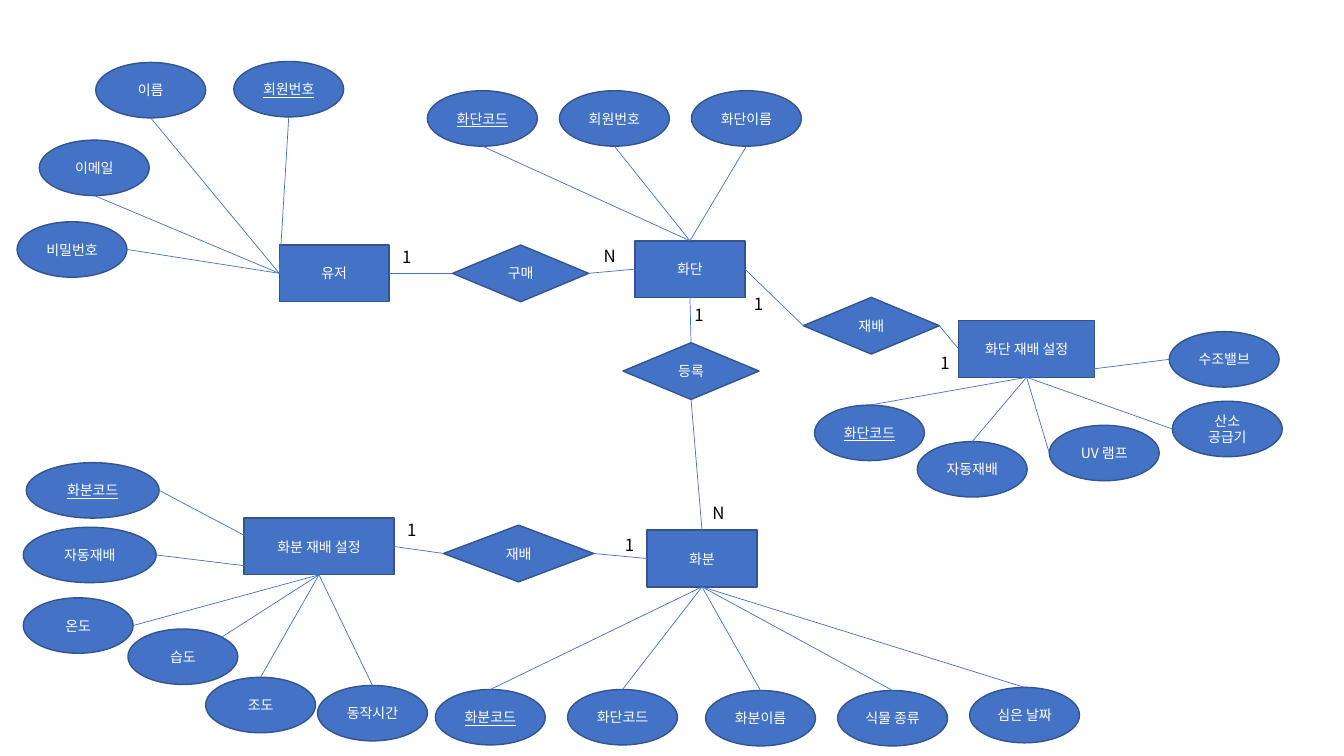
from lxml import etree
from pptx import Presentation
from pptx.dml.color import RGBColor
from pptx.enum.shapes import MSO_CONNECTOR as CONN, MSO_SHAPE as SHAPE
from pptx.enum.text import MSO_ANCHOR as ANCHOR, MSO_AUTO_SIZE as FIT, PP_ALIGN as ALIGN
from pptx.oxml.ns import qn
from pptx.util import Pt

BLUE = RGBColor(0x44, 0x72, 0xC4)
NAVY = RGBColor(0x32, 0x54, 0x91)
WHITE = RGBColor(0xFF, 0xFF, 0xFF)
BLACK = RGBColor(0, 0, 0)
FONT = "Noto Sans CJK KR"

# Entity: left, top, width, side its attributes join
# Attribute: text, left, top, side joined, then optional width and key mark
W, WIDE, OVAL_W = 78.5, 107.3, 95
KEY = True
ENTITIES = {
    "유저": ((199.5, 175, W, "left"), [
        ("회원번호", 167, 43.9, "bottom", W, KEY),
        ("이름", 68.4, 44.6, "bottom"),
        ("이메일", 28.1, 100.1, "bottom"),
        ("비밀번호", 12.2, 158.4, "right"),
    ]),
    "화단": ((453.6, 172, W, "top"), [
        ("화단코드", 305.3, 64.8, "bottom", W, KEY),
        ("회원번호", 399.6, 64.8, "bottom"),
        ("화단이름", 493.9, 64.8, "bottom"),
    ]),
    "화분": ((462.2, 378.7, W, "bottom"), [
        ("화분코드", 311, 492.5, "top", W, KEY),
        ("화단코드", 405.4, 492.5, "top"),
        ("화분이름", 504, 493.2, "top"),
        ("식물 종류", 598.3, 493.2, "top"),
        ("심은 날짜", 692.6, 491, "top"),
    ]),
    "화분 재배 설정": ((174.2, 370.1, WIDE, "bottom"), [
        ("화분코드", 18.7, 330.5, "right", OVAL_W, KEY),
        ("자동재배", 16.6, 376.6, "right", OVAL_W),
        ("온도", 16.6, 427, "right"),
        ("습도", 91.4, 449.3, "upper right"),
        ("조도", 146.9, 483.8, "top"),
        ("동작시간", 226.8, 489.6, "top"),
    ]),
    "화단 재배 설정": ((684.7, 229, 97.2, "bottom"), [
        ("화단코드", 581.8, 289.4, "top", W, KEY),
        ("자동재배", 655.2, 315.4, "top"),
        ("UV 램프", 749.5, 303.8, "left"),
        ("산소 공급기", 837.4, 286.6, "left"),
        ("수조밸브", 835.2, 236.9, "left"),
    ]),
}

# Relationship: text, left, top, width, then two ends (entity, its side, diamond side)
RELATIONS = [
    ("구매", 323.3, 175, 97.2, ("유저", "right", "left"), ("화단", "left", "right")),
    ("등록", 445, 244.8, 97.2, ("화단", "bottom", "top"), ("화분", "top", "bottom")),
    ("재배", 316.8, 375.1, WIDE,
     ("화분 재배 설정", "right", "left"), ("화분", "left", "right")),
    ("재배", 573.8, 212.4, 97.2,
     ("화단", "right", "left"), ("화단 재배 설정", "left", "right")),
]

# Cardinality: text, left, top
CARDINALITIES = [
    ("1", 280.1, 172.8), ("N", 424.1, 172.1), ("1", 488.9, 213.8), ("N", 501.8, 355.7),
    ("1", 283.7, 367.9), ("1", 439.2, 378.7), ("1", 531.4, 206.6), ("1", 664.6, 248.4),
]

# Connection points as fractions of width and height
SIDES = {"left": (0, 0.5), "right": (1, 0.5), "top": (0.5, 0), "bottom": (0.5, 1),
         "upper right": (0.85, 0.15)}


def write(tf, text, size=10, color=WHITE, align=ALIGN.CENTER, underline=None):
    p = tf.paragraphs[0]
    p.alignment = align
    r = p.add_run()
    r.text = text
    r.font.size = Pt(size)
    r.font.color.rgb = color
    r.font.underline = underline
    r.font.name = FONT
    etree.SubElement(r.font._element, qn("a:ea")).set("typeface", FONT)


class Diagram:
    def __init__(self, s):
        self.s = s

    def node(self, kind, text, x, y, w, h, underline=None):
        sp = self.s.shapes.add_shape(kind, Pt(x), Pt(y), Pt(w), Pt(h))
        sp.shadow.inherit = False
        sp.fill.solid()
        sp.fill.fore_color.rgb = BLUE
        sp.line.color.rgb = NAVY
        sp.line.width = Pt(1)
        tf = sp.text_frame
        tf.word_wrap = True
        tf.vertical_anchor = ANCHOR.MIDDLE
        write(tf, text, underline=underline)
        return sp

    def entity(self, text, x, y, w):
        return self.node(SHAPE.RECTANGLE, text, x, y, w, 40.5)

    def relation(self, text, x, y, w):
        return self.node(SHAPE.DIAMOND, text, x, y, w, 40.5)

    def attribute(self, text, x, y, w=W, key=None):
        return self.node(SHAPE.OVAL, text, x, y, w, 39.6, underline=key)

    def link(self, a, a_side, b, b_side):
        ends = []
        for sp, side in ((a, a_side), (b, b_side)):
            fx, fy = SIDES[side]
            ends += [int(sp.left + fx * sp.width), int(sp.top + fy * sp.height)]
        line = self.s.shapes.add_connector(CONN.STRAIGHT, *ends)
        line.line.color.rgb = BLUE
        line.line.width = Pt(0.5)
        etree.SubElement(line._element.spPr, qn("a:effectLst"))

    def cardinality(self, text, x, y):
        tb = self.s.shapes.add_textbox(Pt(x), Pt(y), Pt(21.6), Pt(21.6))
        tf = tb.text_frame
        tf.word_wrap = False
        tf.auto_size = FIT.SHAPE_TO_FIT_TEXT
        write(tf, text, size=12, color=BLACK, align=ALIGN.LEFT)


def main():
    prs = Presentation()
    prs.slide_width, prs.slide_height = Pt(960), Pt(540)
    d = Diagram(prs.slides.add_slide(prs.slide_layouts[6]))

    # Entities with their attributes
    boxes = {}
    for name, ((x, y, w, hub), attributes) in ENTITIES.items():
        boxes[name] = d.entity(name, x, y, w)
        for text, ax, ay, side, *style in attributes:
            d.link(d.attribute(text, ax, ay, *style), side, boxes[name], hub)

    # Relationships between entities
    for text, x, y, w, *ends in RELATIONS:
        diamond = d.relation(text, x, y, w)
        for name, side, diamond_side in ends:
            d.link(boxes[name], side, diamond, diamond_side)

    # Cardinalities
    for label in CARDINALITIES:
        d.cardinality(*label)

    prs.save("out.pptx")


if __name__ == "__main__":
    main()
